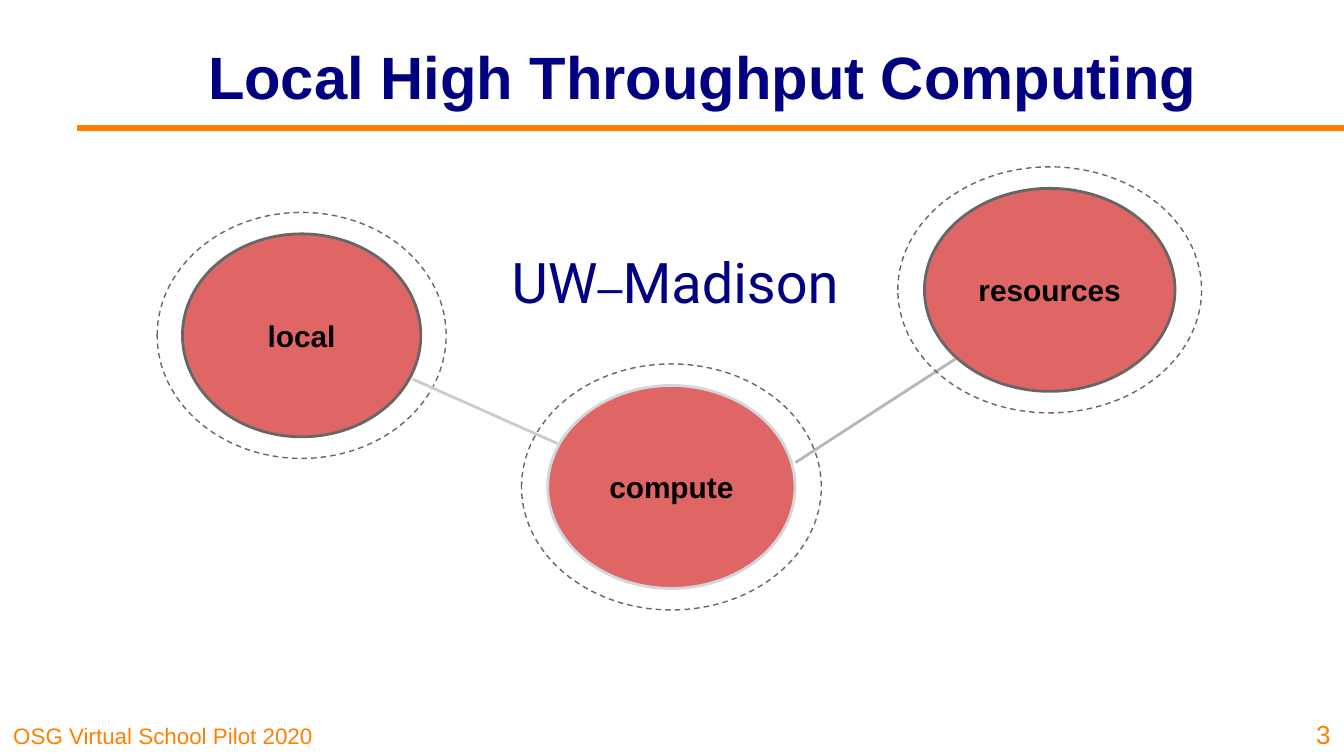
from dataclasses import dataclass
from lxml.etree import SubElement
from pptx import Presentation
from pptx.dml.color import RGBColor
from pptx.enum.dml import MSO_LINE
from pptx.enum.shapes import MSO_CONNECTOR, MSO_SHAPE
from pptx.enum.text import MSO_ANCHOR, MSO_AUTO_SIZE, PP_ALIGN
from pptx.oxml.ns import qn
from pptx.util import Pt


@dataclass(frozen=True)
class Theme:
    navy: str = "000080"
    orange: str = "FF8000"
    coral: str = "E06666"
    black: str = "000000"
    gray: str = "666666"
    mist: str = "CFD8DC"
    silver: str = "CCCCCC"
    ash: str = "B7B7B7"
    sans: str = "Arial"
    round: str = "Roboto"
    title: int = 32
    place: int = 30
    dash: int = 24
    node: int = 16
    page: int = 14
    foot: int = 12


theme = Theme()


def color(code):
    return RGBColor.from_string(code)


def style(font, face, size, code, bold=False):
    font.name, font.size, font.bold = face, Pt(size), bold
    font.color.rgb = color(code)


def setup(frame, anchor, align, pad=7.2):
    frame.word_wrap = True
    frame.auto_size = MSO_AUTO_SIZE.NONE
    frame.vertical_anchor = anchor
    frame.margin_left = frame.margin_right = Pt(7.2)
    frame.margin_top = frame.margin_bottom = Pt(pad)
    line = frame.paragraphs[0]
    line.alignment = align
    return line


def rule(slide, start, end, code, width):
    line = slide.shapes.add_connector(MSO_CONNECTOR.STRAIGHT, *map(Pt, start + end))
    line.line.color.rgb = color(code)
    line.line.width = Pt(width)
    SubElement(line._element.spPr, qn("a:effectLst"))


def header(slide, box):
    title = slide.shapes.title
    title.left, title.top, title.width, title.height = map(Pt, box)
    line = setup(title.text_frame, MSO_ANCHOR.MIDDLE, PP_ALIGN.CENTER)
    line.text = "Local High Throughput Computing"
    style(line.font, theme.sans, theme.title, theme.navy, True)
    left, top, width, height = box
    base = top + height - 5.7
    rule(slide, (left - 62, base), (720, base), theme.orange, 3)


def oval(slide, box, code, width):
    shape = slide.shapes.add_shape(MSO_SHAPE.OVAL, *map(Pt, box))
    shape.shadow.inherit = False
    shape.line.color.rgb = color(code)
    shape.line.width = Pt(width)
    return shape


def node(slide, box, text, edge):
    ring = oval(slide, box, theme.gray, 0.75)
    ring.fill.background()
    ring.line.dash_style = MSO_LINE.DASH
    left, top, width, height = box
    scale = 0.825
    inset = (1 - scale) / 2
    inner = (left + width * inset, top + height * inset, width * scale, height * scale)
    disk = oval(slide, inner, edge, 1.5)
    disk.fill.solid()
    disk.fill.fore_color.rgb = color(theme.coral)
    line = setup(disk.text_frame, MSO_ANCHOR.MIDDLE, PP_ALIGN.CENTER)
    line.text = text
    style(line.font, theme.sans, theme.node, theme.black, True)


def graph(slide, box):
    left, top = box[:2]
    high = 131.8

    def spot(x, y):
        return left + x, top + y

    node(slide, (*spot(0, 24.4), 154.8, high), "local", theme.gray)
    rule(slide, spot(136.8, 113.7), spot(214.6, 148.3), theme.silver, 1.5)
    rule(slide, spot(342, 158.4), spot(427.7, 102.9), theme.ash, 1.5)
    node(slide, (*spot(396.8, 0), 162.7, high), "resources", theme.gray)
    node(slide, (*spot(195.2, 105.6), 160.6, high), "compute", theme.mist)


def place(slide, box):
    frame = slide.shapes.add_textbox(*map(Pt, box)).text_frame
    line = setup(frame, MSO_ANCHOR.TOP, PP_ALIGN.CENTER)
    parts = (
        ("UW", theme.round, theme.place),
        ("–", theme.sans, theme.dash),
        ("Madison", theme.round, theme.place),
    )
    for text, face, size in parts:
        run = line.add_run()
        run.text = text
        style(run.font, face, size, theme.navy)


def footer(slide, box, text, size, align):
    frame = slide.shapes.add_textbox(*map(Pt, box)).text_frame
    line = setup(frame, MSO_ANCHOR.BOTTOM, align, 3.6)
    line.text = text
    style(line.font, theme.sans, size, theme.orange)


def main():
    deck = Presentation()
    deck.slide_width, deck.slide_height = Pt(720), Pt(405)
    slide = deck.slides.add_slide(deck.slide_layouts[5])
    header(slide, (103, 6.5, 547.2, 67.7))
    graph(slide, (84.2, 89.4, 559.5, 237.4))
    place(slide, (264.2, 125.3, 195.1, 41.8))
    footer(slide, (0, 382.5, 178.6, 22.5), "OSG Virtual School Pilot 2020",
           theme.foot, PP_ALIGN.LEFT)
    footer(slide, (686.9, 378, 33.1, 27), "3", theme.page, PP_ALIGN.RIGHT)
    deck.save("out.pptx")


if __name__ == "__main__":
    main()
